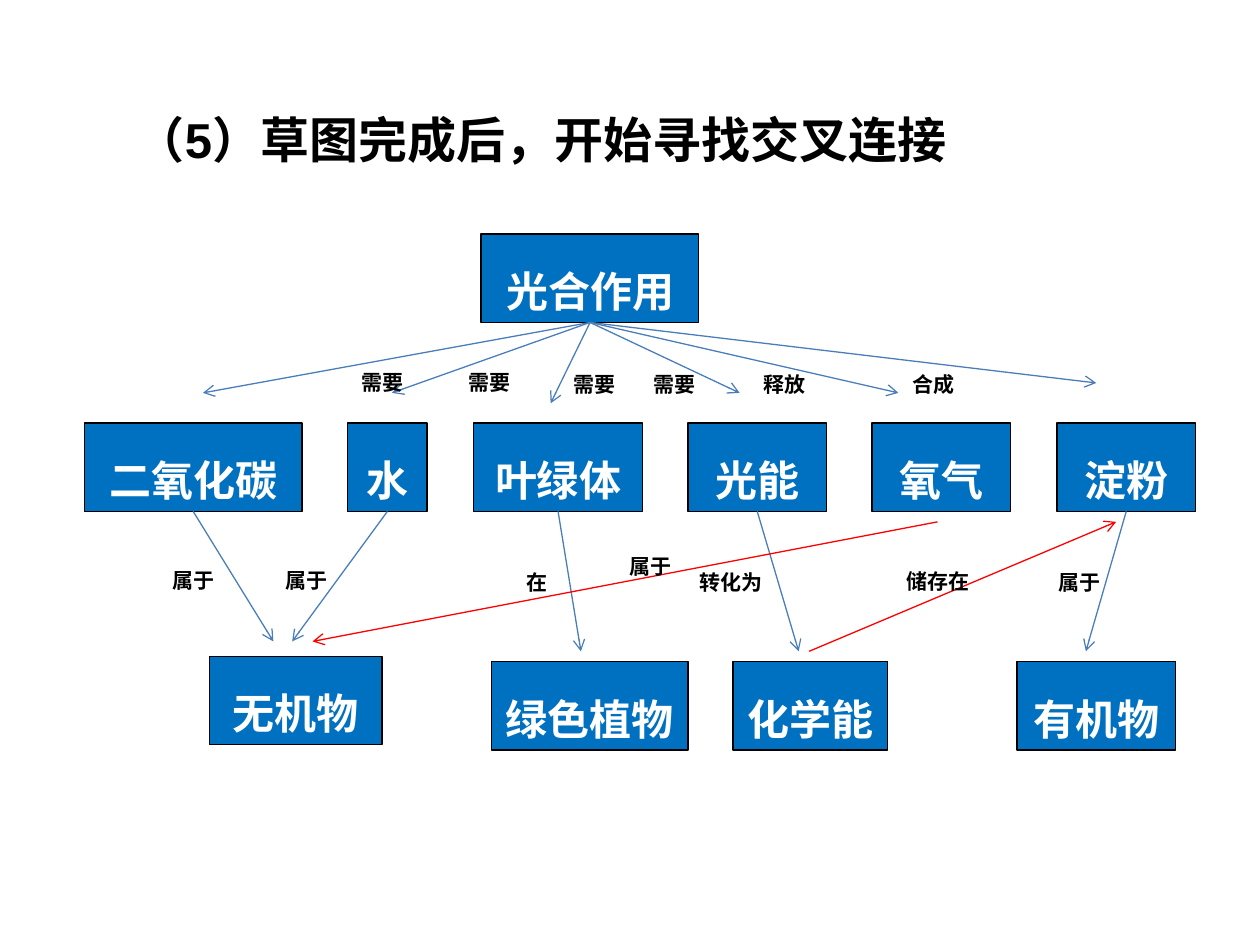
"""Build the concept map of photosynthesis with its cross links."""
from lxml import etree
from pptx import Presentation
from pptx import util as u
from pptx.dml.color import RGBColor
from pptx.enum import shapes, text
from pptx.oxml import ns

TITLE = "（5）草图完成后，开始寻找交叉连接"
CJK_FONT = "Noto Sans CJK SC"
BLUE, RED, FILL, BLACK, WHITE = "4A7EBB", "FF0000", "0070C0", "000000", "FFFFFF"
BOX_HEIGHT, LABEL_HEIGHT = 1.78, 1.02

ROOT = ("光合作用", 9.7, 4.72, 4.39)
CONCEPT_TOP = 8.53
CONCEPTS = [
    ("二氧化碳", 1.7, 4.39), ("水", 7.01, 1.6), ("叶绿体", 9.55, 3.4),
    ("光能", 13.87, 2.79), ("氧气", 17.58, 2.79), ("淀粉", 21.31, 2.79),
]
CATEGORIES = [
    ("无机物", 4.22, 13.23, 3.48), ("绿色植物", 9.91, 13.34, 3.96),
    ("化学能", 14.78, 13.34, 3.12), ("有机物", 20.5, 13.34, 3.2),
]
ROOT_TIPS = [(4.09, 7.92), (7.9, 7.92), (11.1, 8.13),
             (14.91, 7.92), (18.11, 7.92), (22.1, 7.72)]
CATEGORY_TIPS = {
    "二氧化碳": (5.51, 12.93), "水": (5.89, 12.93), "叶绿体": (11.71, 13.13),
    "光能": (16.1, 13.13), "淀粉": (21.89, 13.13),
}
CROSS_LINKS = [((16.31, 13.13), (22.5, 10.52)), ((18.9, 10.52), (6.3, 12.93))]
LABELS = [
    ("需要", 7.71, 7.06), ("需要", 9.86, 7.06), ("需要", 11.98, 7.11),
    ("需要", 13.59, 7.11), ("释放", 15.82, 7.11), ("合成", 18.81, 7.11),
    ("属于", 3.9, 11.05), ("属于", 6.17, 11.05), ("在", 10.83, 11.1),
    ("转化为", 14.73, 11.1), ("属于", 21.77, 11.1),
    ("属于", 13.11, 10.77), ("储存在", 18.91, 11.07),
]
CENTERED = {"alignment": text.PP_ALIGN.CENTER, "line_spacing": 1.5}
TITLE_FORMAT = {"alignment": text.PP_ALIGN.LEFT, "line_spacing": 1.3}


def color(value):
    return RGBColor.from_string(value)


def apply(target, values):
    for name, value in values.items():
        setattr(target, name, value)


def write(shape, content, size, ink, paragraph_format=CENTERED,
          anchor=text.MSO_ANCHOR.MIDDLE, font_name=CJK_FONT):
    apply(shape.text_frame, {
        "word_wrap": True, "vertical_anchor": anchor,
        "auto_size": text.MSO_AUTO_SIZE.SHAPE_TO_FIT_TEXT,
    })
    paragraph = shape.text_frame.paragraphs[0]
    apply(paragraph, paragraph_format)
    run = paragraph.add_run()
    run.text = content
    apply(run.font, {"size": u.Pt(size), "bold": True, "name": font_name})
    run.font.color.rgb = color(ink)
    east_asian = etree.SubElement(run.font._element, ns.qn("a:ea"))
    east_asian.set("typeface", CJK_FONT)


def add_box(slide, name, left, top, width):
    shape = slide.shapes.add_shape(
        shapes.MSO_SHAPE.RECTANGLE,
        *map(u.Cm, (left, top, width, BOX_HEIGHT)))
    shape.shadow.inherit = False
    shape.fill.solid()
    shape.fill.fore_color.rgb = color(FILL)
    shape.line.color.rgb = color(BLACK)
    shape.line.width = u.Pt(0.75)
    write(shape, name, 24, WHITE)


def add_arrow(slide, start, end, ink=BLUE):
    connector = slide.shapes.add_connector(
        shapes.MSO_CONNECTOR.STRAIGHT, *map(u.Cm, (*start, *end)))
    connector.line.color.rgb = color(ink)
    connector.line.width = u.Pt(0.75)
    tail = etree.SubElement(connector.line._get_or_add_ln(), ns.qn("a:tailEnd"))
    tail.set("type", "arrow")
    etree.SubElement(connector._element.spPr, ns.qn("a:effectLst"))


def add_label(slide, content, center, top):
    width = 2.05 if len(content) > 2 else 1.5
    shape = slide.shapes.add_textbox(
        *map(u.Cm, (center - width / 2, top, width, LABEL_HEIGHT)))
    write(shape, content, 12, BLACK)


def main():
    presentation = Presentation()
    apply(presentation, {"slide_width": u.Cm(25.4), "slide_height": u.Cm(19.05)})
    slide = presentation.slides.add_slide(presentation.slide_layouts[6])

    title = slide.shapes.add_textbox(*map(u.Cm, (2.49, 1.73, 20.4, 1.8)))
    write(title, TITLE, 28, BLACK, TITLE_FORMAT, text.MSO_ANCHOR.TOP, "Arial")

    concepts = [(name, left, CONCEPT_TOP, width) for name, left, width in CONCEPTS]
    for box in [ROOT, *concepts, *CATEGORIES]:
        add_box(slide, *box)

    bottoms = {name: (left + width / 2, top + BOX_HEIGHT)
               for name, left, top, width in [ROOT, *concepts]}
    for tip in ROOT_TIPS:
        add_arrow(slide, bottoms[ROOT[0]], tip)
    for name, tip in CATEGORY_TIPS.items():
        add_arrow(slide, bottoms[name], tip)
    for start, end in CROSS_LINKS:
        add_arrow(slide, start, end, RED)
    for label in LABELS:
        add_label(slide, *label)

    presentation.save("out.pptx")


if __name__ == "__main__":
    main()
